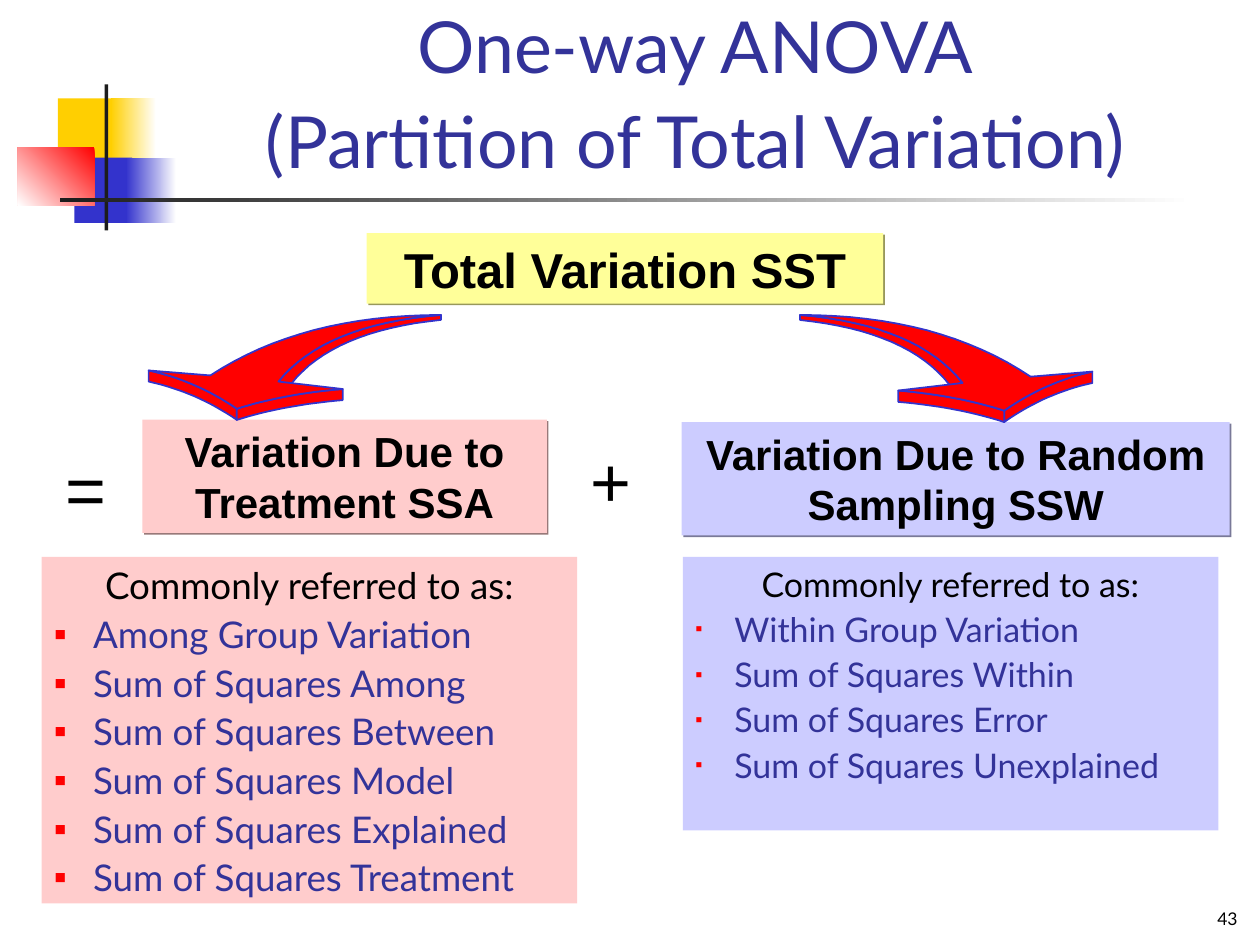
import pptx
import pptx.dml.color
import pptx.enum.shapes
import pptx.enum.text
import pptx.oxml
import pptx.oxml.ns
import pptx.util

Inches = pptx.util.Inches
Pt = pptx.util.Pt
RECT = pptx.enum.shapes.MSO_SHAPE.RECTANGLE
ALIGN = pptx.enum.text.PP_ALIGN
ANCHOR = pptx.enum.text.MSO_ANCHOR
NS = pptx.oxml.ns.nsdecls("a")

YELLOW, BLUE, RED = "FFCF01", "3333CC", "FF0000"
WHITE, DARK, BLACK, NAVY = "FFFFFF", "1C1C1C", "000000", "333399"
PINK, LILAC, CREAM = "FFCCCC", "CCCCFF", "FFFF99"


def rgb(value):
    return pptx.dml.color.RGBColor.from_string(value)


def add_box(at, paras, fill=None, anchor=ANCHOR.TOP):
    """Add a text box, or a filled rectangle; paras: (text, colour, font values, paragraph values)."""
    at = [Inches(v) for v in at]
    if fill:
        sp = s.shapes.add_shape(RECT, *at)
        sp.shadow.inherit = False
        sp.fill.solid()
        sp.fill.fore_color.rgb = rgb(fill)
        sp.line.fill.background()
    else:
        sp = s.shapes.add_textbox(*at)
    tf = sp.text_frame
    tf.word_wrap = True
    tf.vertical_anchor = anchor
    for i, (text, colour, font, layout) in enumerate(paras):
        p = tf.paragraphs[0] if i == 0 else tf.add_paragraph()
        p.text = text
        for key, value in layout.items():
            setattr(p, key, value)
        for r in p.runs:
            r.font.color.rgb = rgb(colour)
            for key, value in font.items():
                setattr(r.font, key, value)
    return sp


prs = pptx.Presentation()
prs.slide_width, prs.slide_height = Inches(10), Inches(7.5)
s = prs.slides.add_slide(prs.slide_layouts[6])

# Corner ornament and title rule: place, first colour, last colour of a gradient, angle
ornament = [
    ((0.46, 0.78, 0.48, 0.52), YELLOW, None, 0),
    ((0.88, 0.78, 0.36, 0.52), WHITE, YELLOW, 180),
    ((0.59, 1.25, 0.46, 0.52), BLUE, None, 0),
    ((1, 1.25, 0.4, 0.52), WHITE, BLUE, 180),
    ((0.14, 1.17, 0.61, 0.46), RED, WHITE, 225),
    ((0.83, 0.67, 0.03, 1.16), DARK, None, 0),
    ((0.48, 1.57, 9, 0.03), WHITE, DARK, 180),
]
for at, first, last, angle in ornament:
    sp = add_box(at, [], first)
    if last:
        sp.fill.gradient()
        sp.fill.gradient_angle = angle
        for stop, colour in zip(sp.fill.gradient_stops, (first, last)):
            stop.color.rgb = rgb(colour)

# Title
add_box((1.26, 0.25, 8.52, 1.25),
        [("One-way ANOVA\v(Partition of Total Variation)", NAVY,
          {"size": Pt(41), "name": "Lato"},
          {"alignment": ALIGN.CENTER, "line_spacing": 1.1})],
        anchor=ANCHOR.BOTTOM)

# Variation boxes with a thin offset shadow
variations = [
    ((1.13, 3.33, 3.21, 0.9), "Variation Due to Treatment SSA", 24, PINK, "987979"),
    ((5.41, 3.35, 4.35, 0.9), "Variation Due to Random Sampling SSW", 24, LILAC, "797998"),
    ((2.91, 1.85, 4.1, 0.56), "Total Variation SST", 28, CREAM, "98985B"),
]
for at, text, size, fill, shade in variations:
    font = {"size": Pt(size), "name": "Arial", "bold": True}
    sp = add_box(at, [(text, BLACK, font, {"alignment": ALIGN.CENTER})], fill)
    effects = sp._element.spPr.find(pptx.oxml.ns.qn("a:effectLst"))
    effects.append(pptx.oxml.parse_xml(
        f'<a:outerShdw {NS} dist="{Pt(1.4)}" dir="2700000" algn="ctr" rotWithShape="0">'
        f'<a:srgbClr val="{shade}"/></a:outerShdw>'))

# Lists of alternative names: place, fill, text size, bullet percentage, names
lists = [
    ((5.42, 4.42, 4.25, 2.17), LILAC, 19.4, 60,
     ["Within Group Variation", "Sum of Squares Within", "Sum of Squares Error",
      "Sum of Squares Unexplained"]),
    ((0.33, 4.42, 4.25, 2.75), PINK, 21, 100,
     ["Among Group Variation", "Sum of Squares Among", "Sum of Squares Between",
      "Sum of Squares Model", "Sum of Squares Explained", "Sum of Squares Treatment"]),
]
hang = Inches(0.31)
for at, fill, size, bullet_size, names in lists:
    font = {"size": Pt(size), "name": "Lato"}
    paras = [("Commonly referred to as:", BLACK, font, {"alignment": ALIGN.CENTER})]
    paras += [(name, NAVY, font, {"alignment": ALIGN.LEFT, "space_before": Pt(2.6)})
              for name in names]
    sp = add_box(at, paras, fill)
    for i, p in enumerate(sp.text_frame.paragraphs):
        pPr = p._p.get_or_add_pPr()
        pPr.set("marL", str(hang))
        pPr.set("indent", str(-hang))
        if i == 0:
            continue
        for xml in (f'<a:buClr {NS}><a:srgbClr val="{RED}"/></a:buClr>',
                    f'<a:buSzPct {NS} val="{bullet_size * 1000}"/>',
                    f'<a:buFont {NS} typeface="Arial"/>',
                    f'<a:buChar {NS} char="▪"/>'):
            pPr.append(pptx.oxml.parse_xml(xml))

# Curved arrows: each edge of the right one is a quadratic curve (start, control, end)
tail, tip = (6.35, 2.5), (7.97, 3.26)
curves = {
    "outer": (tail, (7.45, 2.5), (8.18, 2.99)),
    "inner": (tail, (7.28, 2.58), (7.64, 3.04)),
    "inner_back": ((6.35, 2.54), (7.21, 2.63), (7.54, 3.06)),
    "right_barb": ((8.67, 2.95), (8.3, 3.03), tip),
    "left_barb": ((7.13, 3.1), (7.6, 3.14), tip),
}
steps = 16
edges = {}
for name, (start, control, end) in curves.items():
    edges[name] = []
    for i in range(steps + 1):
        t = i / steps
        edges[name].append(tuple((1 - t) ** 2 * a + 2 * t * (1 - t) * b + t ** 2 * c
                                 for a, b, c in zip(start, control, end)))

# The sides are strips of equal depth below the barbs; the front closes all edges
depth = 0.09
faces = [edges["inner"] + edges["inner_back"][::-1]]
for name in ("right_barb", "left_barb"):
    faces.append(edges[name] + [(x, y + depth) for x, y in reversed(edges[name])])
faces.append(edges["outer"] + edges["right_barb"] + edges["left_barb"][::-1]
             + edges["inner"][::-1])

# The left arrow mirrors the right one and is slightly flatter
mirror_sum, flatten = 9.85, 0.98
units = 1000
for mirrored in (False, True):
    for face in faces:
        if mirrored:
            face = [(mirror_sum - x, tail[1] + (y - tail[1]) * flatten) for x, y in face]
        points = [(round(x * units), round(y * units)) for x, y in face]
        fb = s.shapes.build_freeform(*points[0], scale=Inches(1) / units)
        fb.add_line_segments(points[1:], close=True)
        sp = fb.convert_to_shape()
        sp.shadow.inherit = False
        sp.fill.solid()
        sp.fill.fore_color.rgb = rgb(RED)
        sp.line.color.rgb = rgb(BLUE)
        sp.line.width = Pt(1)

# Equation signs
for sign, x, y in (("=", 0.42, 3.49), ("+", 4.59, 3.42)):
    add_box((x, y, 0.91, 0.76), [(sign, BLACK, {"size": Pt(40), "name": "Arial"}, {})])

# Slide number
add_box((7.84, 6.91, 2.08, 0.51),
        [("43", BLACK, {"size": Pt(10), "name": "Lato"}, {"alignment": ALIGN.RIGHT})],
        anchor=ANCHOR.BOTTOM)

prs.save("out.pptx")
